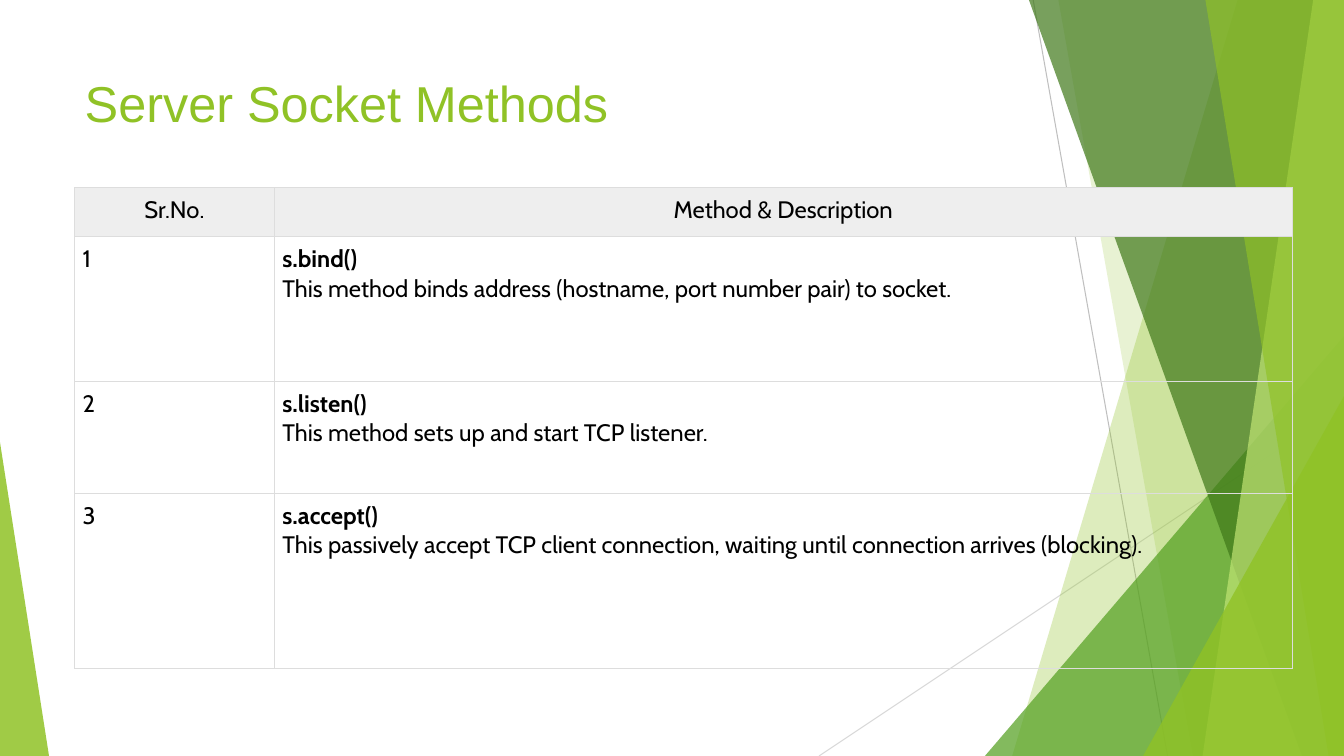
from dataclasses import dataclass

from pptx import Presentation, util as u
from pptx.dml.color import RGBColor
from pptx.enum import shapes, text
from pptx.oxml import ns, xmlchemy

Pt = u.Pt
WIDTH, HEIGHT = 960, 540


@dataclass(frozen=True)
class Theme:
    lime: str = "90C226"
    green: str = "54A021"
    forest: str = "3F7819"
    pale: str = "C0E474"
    line_dark: str = "BFBFBF"
    line_light: str = "D9D9D9"
    border: str = "DDDDDD"
    header: str = "EEEEEE"
    ink: str = "000000"
    title_font: str = "Arial"
    table_font: str = "Cabin"
    title_size: float = 36
    table_size: float = 17
    line_width: float = 0.75


THEME = Theme()

COLUMNS = (142.6, 727.2)
ROWS = (35.3, 103, 80, 125.3)
HEADINGS = ("Sr.No.", "Method & Description")
METHODS = (
    ("s.bind()",
     "This method binds address (hostname, port number pair) to socket."),
    ("s.listen()", "This method sets up and start TCP listener."),
    ("s.accept()",
     "This passively accept TCP client connection, "
     "waiting until connection arrives (blocking)."),
)


def apply(target, values):
    for name, value in values.items():
        setattr(target, name, value)


def add_child(parent, tag, **attributes):
    child = xmlchemy.OxmlElement(tag)
    for name, value in attributes.items():
        child.set(name, str(value))
    parent.append(child)
    return child


def paint(shape, color, opacity):
    """Fill a shape with a see-through colour and no outline."""
    shape.shadow.inherit = False
    shape.fill.solid()
    shape.fill.fore_color.rgb = RGBColor.from_string(color)
    shape.line.fill.background()
    swatch = shape.element.spPr.find(".//" + ns.qn("a:srgbClr"))
    add_child(swatch, "a:alpha", val=opacity * 1000)


def add_line(page, start, end, color):
    line = page.shapes.add_connector(
        shapes.MSO_CONNECTOR.STRAIGHT, *map(Pt, start + end))
    line.line.color.rgb = RGBColor.from_string(color)
    line.line.width = Pt(THEME.line_width)
    add_child(line.element.spPr, "a:effectLst")


def add_blade(page, top_x, bottom_x, color, opacity):
    """A full-height band from a slanted left side to the slide edge."""
    builder = page.shapes.build_freeform(Pt(top_x), 0)
    corners = ((WIDTH, 0), (WIDTH, HEIGHT), (bottom_x, HEIGHT))
    builder.add_line_segments([(Pt(x), Pt(y)) for x, y in corners])
    paint(builder.convert_to_shape(), color, opacity)


def add_corner(page, left, width, height, apex, color, opacity):
    """A right triangle standing on the bottom edge."""
    corner = page.shapes.add_shape(
        shapes.MSO_SHAPE.ISOSCELES_TRIANGLE,
        *map(Pt, (left, HEIGHT - height, width, height)))
    corner.adjustments[0] = apex
    paint(corner, color, opacity)


def write(para, words, font, size, color, bold=False, align=None):
    para.alignment = align
    span = para.add_run()
    span.text = words
    apply(span.font, {"name": font, "size": Pt(size), "bold": bold})
    span.font.color.rgb = RGBColor.from_string(color)


def add_decoration(page):
    t = THEME
    add_line(page, (738, 0), (834, HEIGHT), t.line_dark)
    add_line(page, (960, 290), (585, HEIGHT), t.line_light)
    add_blade(page, 884, 723, t.lime, 30)
    add_blade(page, 756, 852, t.lime, 20)
    add_corner(page, 703.5, 256.5, 300, 1, t.green, 72)
    add_blade(page, 735, 930, t.forest, 70)
    add_blade(page, 938, 859, t.pale, 70)
    add_blade(page, 861, 949, t.lime, 65)
    add_corner(page, 816.5, 143.5, 257, 1, t.lime, 80)
    add_corner(page, 0, 35, 224, 0, t.lime, 85)


def set_title(page, words):
    title = page.shapes.title
    apply(title, {"left": Pt(53.3), "top": Pt(48.2),
                  "width": Pt(677), "height": Pt(104)})
    apply(title.text_frame, {"word_wrap": True,
                             "auto_size": text.MSO_AUTO_SIZE.NONE,
                             "vertical_anchor": text.MSO_ANCHOR.TOP})
    write(title.text_frame.paragraphs[0], words, THEME.title_font,
          THEME.title_size, THEME.lime, align=text.PP_ALIGN.LEFT)
    # Bring the title in front of the decoration
    title.element.getparent().append(title.element)


def add_borders(cell):
    properties = cell._tc.get_or_add_tcPr()
    for place, side in enumerate("LRTB"):
        edge = xmlchemy.OxmlElement("a:ln" + side)
        edge.set("w", str(Pt(THEME.line_width)))
        fill = add_child(edge, "a:solidFill")
        add_child(fill, "a:srgbClr", val=THEME.border)
        properties.insert(place, edge)


def fill_cell(cell, lines, align, fill=None):
    """Write (words, bold) lines into a bordered cell."""
    margins = ("margin_left", "margin_top", "margin_right", "margin_bottom")
    apply(cell, dict.fromkeys(margins, Pt(5.76)))
    if fill:
        cell.fill.solid()
        cell.fill.fore_color.rgb = RGBColor.from_string(fill)
    else:
        cell.fill.background()
    add_borders(cell)
    for index, (words, bold) in enumerate(lines):
        frame = cell.text_frame
        para = frame.add_paragraph() if index else frame.paragraphs[0]
        write(para, words, THEME.table_font, THEME.table_size, THEME.ink,
              bold, align)


def add_methods_table(page):
    frame = page.shapes.add_table(
        len(ROWS), len(COLUMNS),
        *map(Pt, (53.3, 133.9, sum(COLUMNS), sum(ROWS))))
    table = frame.table
    apply(table, {"first_row": False, "horz_banding": False})
    for column, width in zip(table.columns, COLUMNS):
        column.width = Pt(width)
    for row, height in zip(table.rows, ROWS):
        row.height = Pt(height)

    for index, heading in enumerate(HEADINGS):
        fill_cell(table.cell(0, index), [(heading, False)],
                  text.PP_ALIGN.CENTER, THEME.header)
    for number, (method, description) in enumerate(METHODS, 1):
        fill_cell(table.cell(number, 0), [(str(number), False)],
                  text.PP_ALIGN.LEFT)
        fill_cell(table.cell(number, 1),
                  [(method, True), (description, False)],
                  text.PP_ALIGN.JUSTIFY)


def main():
    deck = Presentation()
    apply(deck, {"slide_width": Pt(WIDTH), "slide_height": Pt(HEIGHT)})
    page = deck.slides.add_slide(deck.slide_layouts.get_by_name("Title Only"))
    add_decoration(page)
    set_title(page, "Server Socket Methods")
    add_methods_table(page)
    deck.save("out.pptx")


main()
